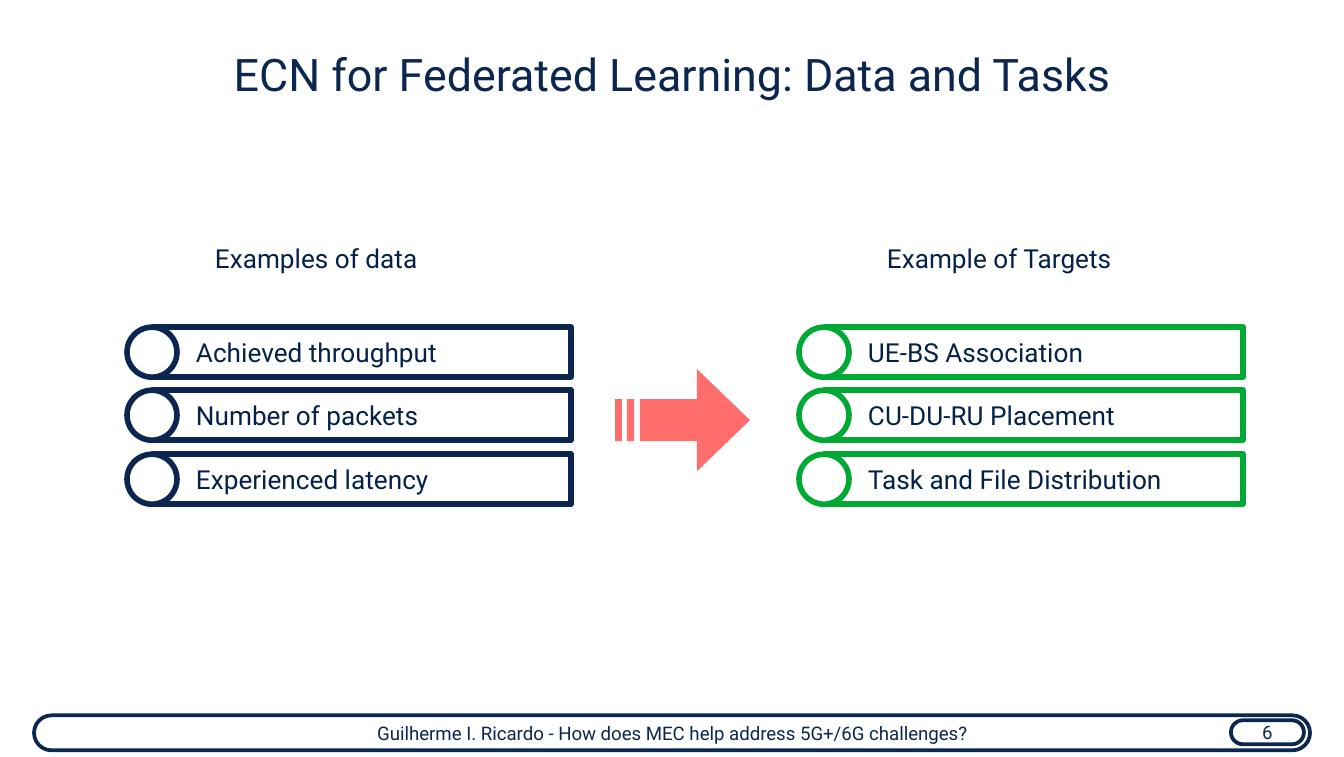
from dataclasses import dataclass
from typing import Optional

from pptx import Presentation
from pptx.dml.color import RGBColor
from pptx.enum.shapes import MSO_SHAPE as Preset
from pptx.enum.text import MSO_ANCHOR as Anchor, PP_ALIGN as Align
from pptx.util import Inches, Pt

EMU_PER_PX = 914400 / 134.4
COLORS = {
    "navy": "0C274F",
    "ink": "05214A",
    "green": "00A933",
    "coral": "FF6D6D",
    "white": "FFFFFF",
}


@dataclass(frozen=True)
class Box:
    left: int
    top: int
    width: int
    height: int


@dataclass(frozen=True)
class TextStyle:
    size: int
    color: str
    align: Align = Align.LEFT
    anchor: Anchor = Anchor.TOP
    inset_x: int = 13
    inset_y: int = 7
    inset_left: Optional[int] = None


@dataclass(frozen=True)
class Column:
    left: int
    color: str
    heading: str
    entries: tuple[str, ...]


TITLE = TextStyle(24, "navy", Align.CENTER, inset_x=0, inset_y=13)
HEADING = TextStyle(14, "ink")
ENTRY = TextStyle(14, "ink", anchor=Anchor.MIDDLE, inset_x=16, inset_left=43)
FOOTER = TextStyle(10, "navy", Align.CENTER, Anchor.MIDDLE)

COLUMNS = (
    Column(127, "navy", "Examples of data",
           ("Achieved throughput", "Number of packets", "Experienced latency")),
    Column(799, "green", "Example of Targets",
           ("UE-BS Association", "CU-DU-RU Placement", "Task and File Distribution")),
)
FIRST_ENTRY_TOP, TWO_ENTRY_PITCH, ENTRY_HEIGHT = 327, 127, 50

ARROW_HEAD = ((697, 369), (750, 420), (697, 471), (697, 441),
              (640, 441), (640, 399), (697, 399))
ARROW_STRIPES = tuple(
    ((left, 399), (left, 441), (right, 441), (right, 399))
    for left, right in ((615, 622), (627, 634))
)


def px(length: int) -> int:
    return round(length * EMU_PER_PX)


def rgb(name: str) -> RGBColor:
    return RGBColor.from_string(COLORS[name])


def place(box: Box) -> tuple[int, ...]:
    return tuple(map(px, (box.left, box.top, box.width, box.height)))


def write(holder, text: str, style: TextStyle) -> None:
    frame = holder.text_frame
    left = style.inset_x if style.inset_left is None else style.inset_left
    frame_format = {
        "word_wrap": True,
        "vertical_anchor": style.anchor,
        "margin_left": px(left),
        "margin_right": px(style.inset_x),
        "margin_top": px(style.inset_y),
        "margin_bottom": px(style.inset_y),
    }
    for attribute, value in frame_format.items():
        setattr(frame, attribute, value)
    paragraph = frame.paragraphs[0]
    paragraph.alignment = style.align
    run = paragraph.add_run()
    run.text = text
    for attribute, value in {"name": "Roboto", "size": Pt(style.size)}.items():
        setattr(run.font, attribute, value)
    run.font.color.rgb = rgb(style.color)


def add_label(slide, box: Box, text: str, style: TextStyle) -> None:
    write(slide.shapes.add_textbox(*place(box)), text, style)


def add_outlined(slide, preset: Preset, box: Box, color: str, weight: int):
    outlined = slide.shapes.add_shape(preset, *place(box))
    outlined.shadow.inherit = False
    outlined.fill.solid()
    outlined.fill.fore_color.rgb = rgb("white")
    outlined.line.color.rgb = rgb(color)
    outlined.line.width = Pt(weight)
    return outlined


def add_pill(slide, box: Box, text: str) -> None:
    pill = add_outlined(slide, Preset.ROUNDED_RECTANGLE, box, "navy", 2)
    pill.adjustments[0] = 0.5
    pill.fill.background()
    write(pill, text, FOOTER)


def add_column(slide, column: Column) -> None:
    add_label(slide, Box(column.left + 75, 235, 327, 48), column.heading, HEADING)
    for row, entry in enumerate(column.entries):
        top = FIRST_ENTRY_TOP + row * TWO_ENTRY_PITCH // 2
        bar_box = Box(column.left + 26, top, 418, ENTRY_HEIGHT)
        knob_box = Box(column.left, top, ENTRY_HEIGHT, ENTRY_HEIGHT)
        bar = add_outlined(slide, Preset.RECTANGLE, bar_box, column.color, 3)
        write(bar, entry, ENTRY)
        add_outlined(slide, Preset.OVAL, knob_box, column.color, 3)


def add_striped_arrow(slide) -> None:
    outline = slide.shapes.build_freeform(*ARROW_HEAD[0], scale=EMU_PER_PX)
    outline.add_line_segments(ARROW_HEAD[1:], close=True)
    for stripe in ARROW_STRIPES:
        outline.move_to(*stripe[0])
        outline.add_line_segments(stripe[1:], close=True)
    arrow = outline.convert_to_shape()
    arrow.shadow.inherit = False
    arrow.fill.solid()
    arrow.fill.fore_color.rgb = rgb("coral")
    arrow.line.fill.background()


def main() -> None:
    deck = Presentation()
    deck.slide_width, deck.slide_height = Inches(10), Inches(5.63)
    slide = deck.slides.add_slide(deck.slide_layouts[6])
    add_pill(slide, Box(34, 715, 1276, 35),
             "Guilherme I. Ricardo - How does MEC help address 5G+/6G challenges?")
    add_pill(slide, Box(1231, 720, 73, 24), "6")
    add_label(slide, Box(34, 34, 1276, 138),
              "ECN for Federated Learning: Data and Tasks", TITLE)
    for column in COLUMNS:
        add_column(slide, column)
    add_striped_arrow(slide)
    deck.save("out.pptx")


if __name__ == "__main__":
    main()
